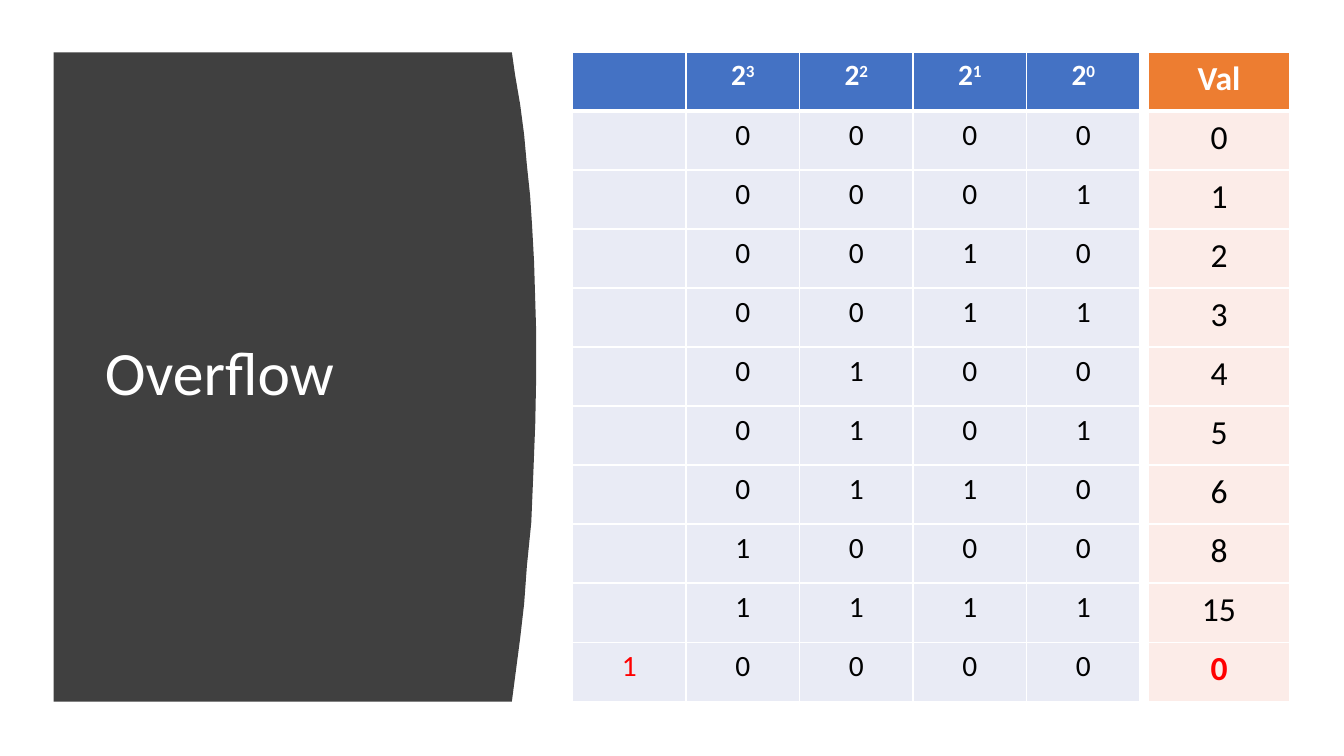
from dataclasses import dataclass

import pptx
import pptx.dml.color
import pptx.enum.text
import pptx.oxml.ns
import pptx.util
from lxml import etree

Cm = pptx.util.Cm
Pt = pptx.util.Pt
RGBColor = pptx.dml.color.RGBColor
PP_ALIGN = pptx.enum.text.PP_ALIGN
MSO_ANCHOR = pptx.enum.text.MSO_ANCHOR

WHITE = RGBColor(0xFF, 0xFF, 0xFF)
BLACK = RGBColor(0x00, 0x00, 0x00)
RED = RGBColor(0xFF, 0x00, 0x00)
CHARCOAL = RGBColor(0x40, 0x40, 0x40)
BLUE = RGBColor(0x44, 0x72, 0xC4)
PALE_BLUE = RGBColor(0xE9, 0xEB, 0xF5)
ORANGE = RGBColor(0xED, 0x7D, 0x31)
PALE_ORANGE = RGBColor(0xFC, 0xEC, 0xE8)

FONT = "Calibri"
TABLE_TOP, TABLE_HEIGHT = 1.31, 16.36
PANEL_LEFT = 1.35
PANEL_EDGE = [
    (12.9, 1.32), (12.98, 1.88), (13.11, 2.64), (13.21, 3.4), (13.28, 4.17),
    (13.36, 4.93), (13.41, 5.69), (13.46, 6.6), (13.51, 8.26), (13.51, 9.65),
    (13.49, 10.67), (13.44, 11.96), (13.39, 13.16), (13.28, 14.25),
    (13.21, 15.21), (13.11, 16.08), (12.98, 17.07), (12.9, 17.68),
]
VALUES = [0, 1, 2, 3, 4, 5, 6, 8, 15]


@dataclass
class TableSpec:
    left: float
    col_width: float
    rows: list[list[str]]
    size: float
    margin_x: float
    margin_y: float
    header_fill: RGBColor
    body_fill: RGBColor
    overflow_bold: bool


TABLES = [
    TableSpec(28.93, 3.58, [["Val"], *([str(v)] for v in VALUES), ["0"]],
              24, 0.33, 0.17, ORANGE, PALE_ORANGE, True),
    TableSpec(14.43, 2.86,
              [["", "2^3", "2^2", "2^1", "2^0"],
               *(["", *f"{v:04b}"] for v in VALUES),
               ["1", *"0000"]],
              21, 0.28, 0.15, BLUE, PALE_BLUE, False),
]


def add_border(cell, side: str, width: float) -> None:
    tcPr = cell._tc.get_or_add_tcPr()
    ln = etree.SubElement(tcPr, pptx.oxml.ns.qn(f"a:ln{side}"), w=str(Pt(width)))
    fill = etree.SubElement(ln, pptx.oxml.ns.qn("a:solidFill"))
    etree.SubElement(fill, pptx.oxml.ns.qn("a:srgbClr"), val=str(WHITE))


def fill_cell(cell, text: str, row: int, color: RGBColor, bold: bool, spec: TableSpec) -> None:
    cell.margin_left = cell.margin_right = Cm(spec.margin_x)
    cell.margin_top = cell.margin_bottom = Cm(spec.margin_y)
    heavy = {(0, "B"), (1, "T")}
    for side in "LRTB":
        add_border(cell, side, 3 if (row, side) in heavy else 1)
    cell.fill.solid()
    cell.fill.fore_color.rgb = spec.body_fill if row else spec.header_fill
    p = cell.text_frame.paragraphs[0]
    p.alignment = PP_ALIGN.CENTER
    p.font.name = FONT
    p.font.size = Pt(spec.size)
    p.font.bold = bold
    p.font.color.rgb = color
    base, _, exponent = text.partition("^")
    if base:
        p.add_run().text = base
    if exponent:
        r = p.add_run()
        r.text = exponent
        r._r.get_or_add_rPr().set("baseline", "30000")


def draw_table(slide, spec: TableSpec) -> None:
    n_rows, n_cols = len(spec.rows), len(spec.rows[0])
    tbl = slide.shapes.add_table(n_rows, n_cols, Cm(spec.left), Cm(TABLE_TOP),
                                 Cm(spec.col_width * n_cols), Cm(TABLE_HEIGHT)).table
    tbl.horz_banding = False
    for row, texts in enumerate(spec.rows):
        for col, text in enumerate(texts):
            overflow = row == n_rows - 1 and col == 0
            color = RED if overflow else BLACK if row else WHITE
            bold = row == 0 or (overflow and spec.overflow_bold)
            fill_cell(tbl.cell(row, col), text, row, color, bold, spec)


def draw_panel(slide) -> None:
    top, bottom = PANEL_EDGE[0][1], PANEL_EDGE[-1][1]
    builder = slide.shapes.build_freeform(Cm(PANEL_LEFT), Cm(top))
    outline = [*PANEL_EDGE, (PANEL_LEFT, bottom)]
    builder.add_line_segments([(Cm(x), Cm(y)) for x, y in outline], close=True)
    sp = builder.convert_to_shape()
    sp.shadow.inherit = False
    sp.fill.solid()
    sp.fill.fore_color.rgb = CHARCOAL
    sp.line.fill.background()


def draw_title(slide, text: str) -> None:
    sp = slide.shapes.title
    sp.left, sp.top, sp.width, sp.height = Cm(2.39), Cm(2.82), Cm(9.5), Cm(13.31)
    slide.shapes._spTree.append(sp._element)
    tf = sp.text_frame
    tf.text = text
    tf.word_wrap = True
    tf.vertical_anchor = MSO_ANCHOR.MIDDLE
    p = tf.paragraphs[0]
    p.alignment = PP_ALIGN.LEFT
    p.line_spacing = 0.9
    p.font.name = FONT
    p.font.size = Pt(44)
    p.font.color.rgb = WHITE


def main() -> None:
    prs = pptx.Presentation()
    prs.slide_width, prs.slide_height = Cm(33.87), Cm(19.05)
    slide = prs.slides.add_slide(prs.slide_layouts[5])
    draw_panel(slide)
    draw_title(slide, "Overflow")
    for spec in TABLES:
        draw_table(slide, spec)
    prs.save("out.pptx")


if __name__ == "__main__":
    main()
